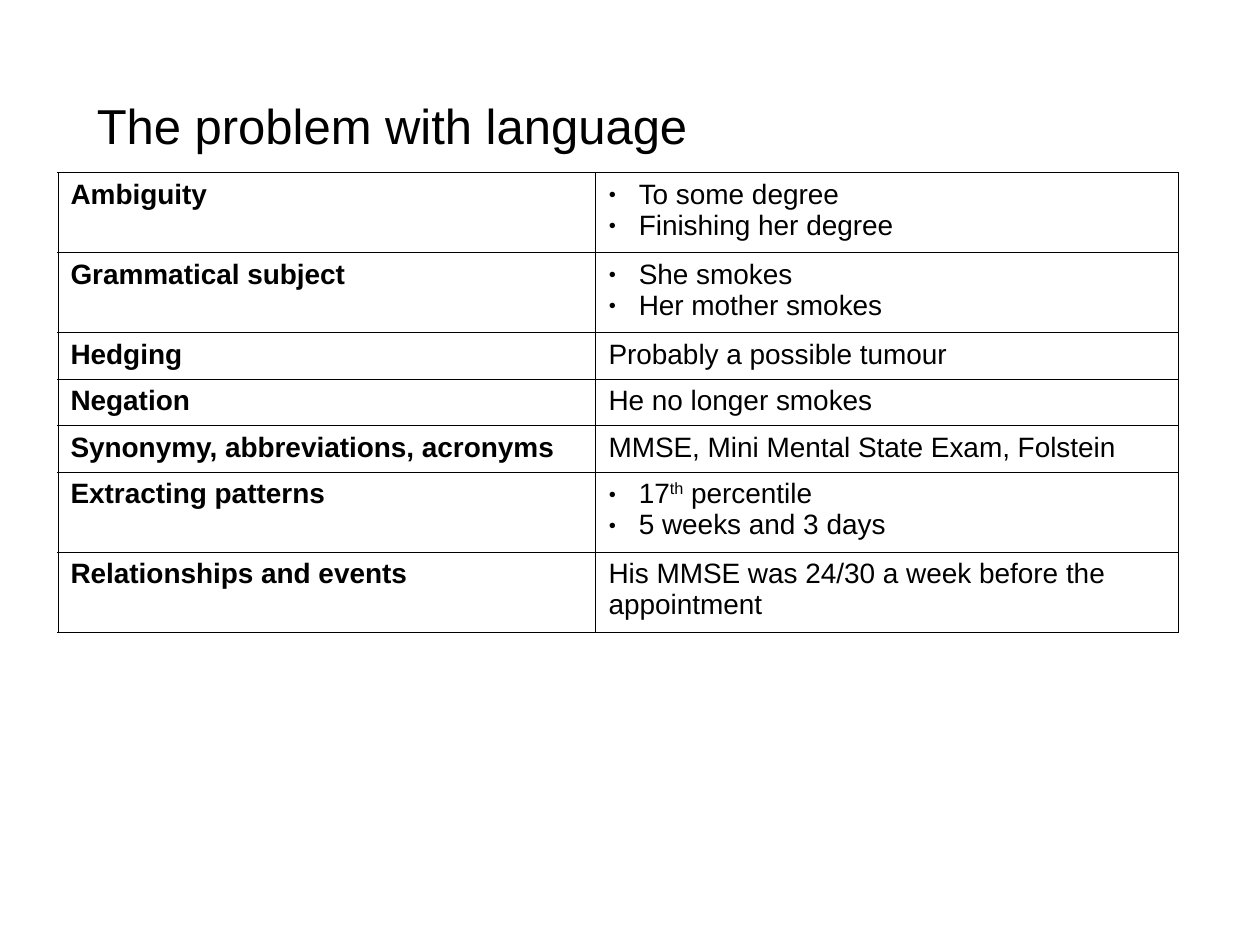
from dataclasses import dataclass

from lxml import etree
from pptx import Presentation
from pptx.dml.color import RGBColor
from pptx.enum.text import MSO_ANCHOR
from pptx.oxml.ns import qn
from pptx.util import Inches, Pt

BOTTOM = MSO_ANCHOR.BOTTOM


@dataclass(frozen=True)
class Theme:
    font: str = "Arial"
    ink: str = "000000"
    title_size: int = 28
    body_size: int = 16
    border: float = 0.57


THEME = Theme()
SUPERSCRIPT = "33000"
BULLET_INDENT = Inches(0.24)
COLUMN_WIDTHS = (4.27, 4.62)
ROW_HEIGHTS = {1: 0.37, 2: 0.635}  # by number of text lines

# Label, lines of text in the example cell, examples.
# A string is plain text; a list is bulleted; a tuple is base, superscript, rest.
PROBLEMS = [
    ("Ambiguity", 2, ["To some degree", "Finishing her degree"]),
    ("Grammatical subject", 2, ["She smokes", "Her mother smokes"]),
    ("Hedging", 1, "Probably a possible tumour"),
    ("Negation", 1, "He no longer smokes"),
    ("Synonymy, abbreviations, acronyms", 1, "MMSE, Mini Mental State Exam, Folstein"),
    ("Extracting patterns", 2, [("17", "th", " percentile"), "5 weeks and 3 days"]),
    ("Relationships and events", 2, "His MMSE was 24/30 a week before the appointment"),
]


def style_font(para, size, bold=False):
    para.font.name = THEME.font
    para.font.size = Pt(size)
    para.font.bold = bold
    para.font.color.rgb = RGBColor.from_string(THEME.ink)


def add_bullet(para):
    properties = para._p.get_or_add_pPr()
    properties.set("marL", str(BULLET_INDENT))
    properties.set("indent", str(-BULLET_INDENT))
    color = etree.SubElement(properties, qn("a:buClr"))
    etree.SubElement(color, qn("a:srgbClr"), val=THEME.ink)
    etree.SubElement(properties, qn("a:buSzPct"), val="45000")
    etree.SubElement(properties, qn("a:buFont"), typeface=THEME.font)
    etree.SubElement(properties, qn("a:buChar"), char="●")


def add_spans(para, text):
    parts = (text,) if isinstance(text, str) else text
    for index, part in enumerate(parts):
        span = para.add_run()
        span.text = part
        if index == 1:
            span._r.get_or_add_rPr().set("baseline", SUPERSCRIPT)


def draw_borders(cell):
    properties = cell._tc.get_or_add_tcPr()
    for index, side in enumerate(("lnL", "lnR", "lnT", "lnB")):
        line = etree.Element(qn(f"a:{side}"), w=str(Pt(THEME.border)))
        fill = etree.SubElement(line, qn("a:solidFill"))
        etree.SubElement(fill, qn("a:srgbClr"), val=THEME.ink)
        properties.insert(index, line)


def fill_cell(cell, content, bold=False):
    cell.fill.background()
    draw_borders(cell)
    bulleted = isinstance(content, list)
    frame = cell.text_frame
    for index, text in enumerate(content if bulleted else [content]):
        para = frame.add_paragraph() if index else frame.paragraphs[0]
        if bulleted:
            add_bullet(para)
        style_font(para, THEME.body_size, bold)
        add_spans(para, text)


def add_problem_table(page):
    heights = [ROW_HEIGHTS[lines] for _, lines, _ in PROBLEMS]
    table = page.shapes.add_table(
        len(PROBLEMS), len(COLUMN_WIDTHS), Inches(0.46), Inches(1.37),
        Inches(sum(COLUMN_WIDTHS)), Inches(sum(heights))).table
    table.first_row = False
    table.horz_banding = False
    for column, width in zip(table.columns, COLUMN_WIDTHS):
        column.width = Inches(width)
    for row, height, (label, _, examples) in zip(table.rows, heights, PROBLEMS):
        row.height = Inches(height)
        fill_cell(row.cells[0], label, bold=True)
        fill_cell(row.cells[1], examples)


def add_title(page, text):
    box = page.shapes.add_textbox(Inches(0.67), Inches(0.76), Inches(6.69), Inches(0.52))
    frame = box.text_frame
    frame.word_wrap = True
    frame.vertical_anchor = BOTTOM
    para = frame.paragraphs[0]
    para.line_spacing = 0.9
    style_font(para, THEME.title_size)
    add_spans(para, text)


def main():
    deck = Presentation()
    deck.slide_width, deck.slide_height = Inches(10), Inches(7.5)
    page = deck.slides.add_slide(deck.slide_layouts[6])
    # Table of problems with examples
    add_problem_table(page)
    # Heading
    add_title(page, "The problem with language")
    deck.save("out.pptx")


if __name__ == "__main__":
    main()
